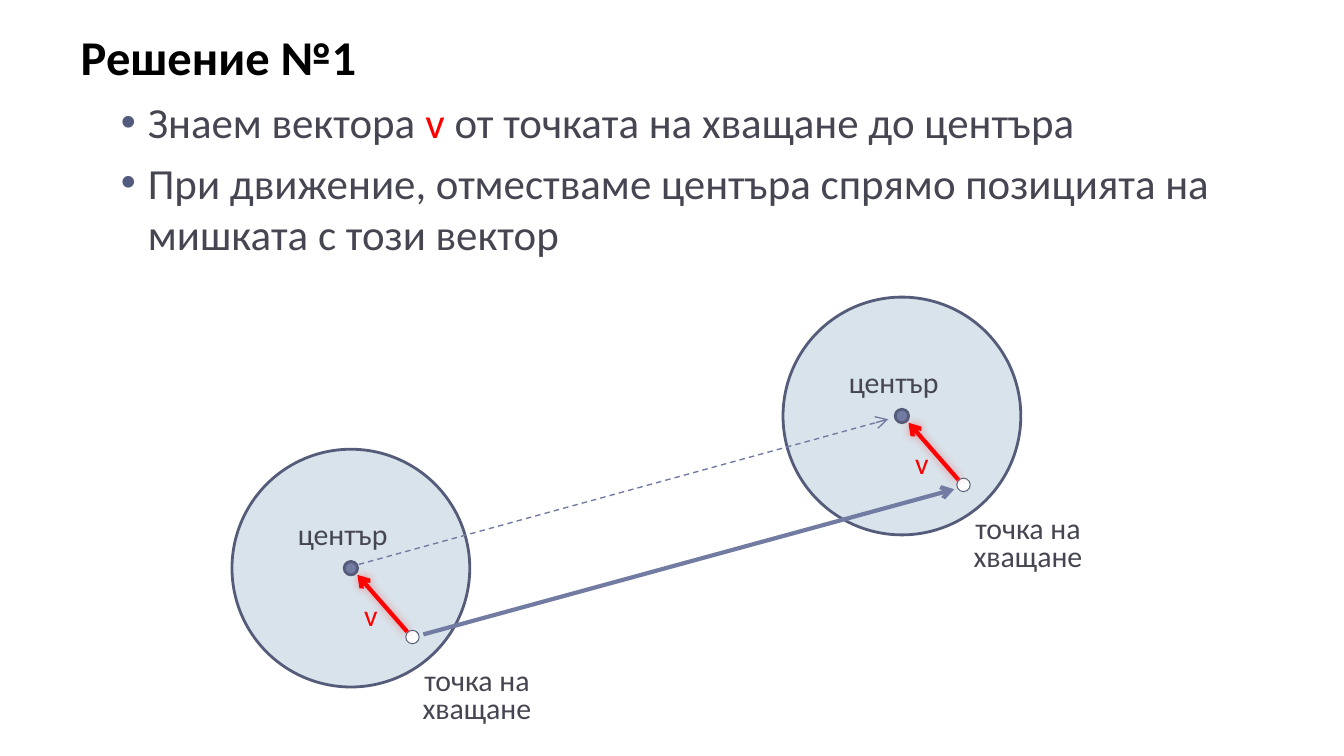
from lxml.etree import SubElement
from pptx import Presentation
from pptx.dml.color import RGBColor
from pptx.enum.dml import MSO_LINE
from pptx.enum.shapes import MSO_CONNECTOR, MSO_SHAPE
from pptx.enum.text import MSO_ANCHOR, MSO_AUTO_SIZE, PP_ALIGN
from pptx.oxml.ns import qn
from pptx.util import Pt

TEXT, RED, BLUE, OUTLINE = "464653", "FF0000", "727CA3", "545C79"
TITLE = "Решение №1"
BULLETS = [
    [("Знаем вектора ", TEXT), ("v ", RED), ("от точката на хващане до центъра", TEXT)],
    [("При движение, отместваме центъра спрямо позицията на мишката с този вектор", TEXT)],
]
CENTERS = [(188, 304.4), (483.2, 222.9)]
GRAB_OFFSET = (33, 36.9)
DISCS = [
    ((0, 0), 127.4, "D9E3EB", OUTLINE, 1.5),
    ((0, 0), 7.2, BLUE, OUTLINE, 1.5),
    (GRAB_OFFSET, 7.2, "FFFFFF", OUTLINE, 0.5),
]
VECTOR = ((30.2, 34.1), (3.5, 3.6))
LABELS = [
    (["център"], (-36.8, -27.4), 64.8, TEXT),
    (["точка на", "хващане"], (29.4, 50.6), 76.3, TEXT),
    (["v"], (-0.5, 16.1), 22.3, RED),
]


def color(value):
    return RGBColor.from_string(value)


def shift(point, offset):
    return point[0] + offset[0], point[1] + offset[1]


def add_run(paragraph, text, size, value, bold=False):
    run = paragraph.add_run()
    run.text = text
    run.font.name = "Calibri"
    run.font.size = Pt(size)
    run.font.bold = bold
    run.font.color.rgb = color(value)


def place(shape, left, top, width, height):
    shape.left, shape.top = Pt(left), Pt(top)
    shape.width, shape.height = Pt(width), Pt(height)
    frame = shape.text_frame
    frame.auto_size = MSO_AUTO_SIZE.NONE
    frame.vertical_anchor = MSO_ANCHOR.TOP
    return frame


def add_bullet(paragraph):
    properties = paragraph._p.get_or_add_pPr()
    properties.set("marL", str(Pt(36)))
    properties.set("indent", str(Pt(-14.4)))
    bullet_color = SubElement(properties, qn("a:buClr"))
    SubElement(bullet_color, qn("a:srgbClr"), val="525B7E")
    SubElement(properties, qn("a:buFont"), typeface="Arial")
    SubElement(properties, qn("a:buChar"), char="•")


def add_disc(group, center, diameter, fill, outline, weight):
    left, top = shift(center, (-diameter / 2, -diameter / 2))
    disc = group.shapes.add_shape(
        MSO_SHAPE.OVAL, Pt(left), Pt(top), Pt(diameter), Pt(diameter))
    disc.shadow.inherit = False
    disc.fill.solid()
    disc.fill.fore_color.rgb = color(fill)
    disc.line.color.rgb = color(outline)
    disc.line.width = Pt(weight)


def add_arrow(slide, start, end, value, weight, dashed=False, glowing=False):
    arrow = slide.shapes.add_connector(
        MSO_CONNECTOR.STRAIGHT, *(Pt(length) for length in (*start, *end)))
    arrow.line.color.rgb = color(value)
    arrow.line.width = Pt(weight)
    if dashed:
        arrow.line.dash_style = MSO_LINE.DASH
    SubElement(arrow.line._get_or_add_ln(), qn("a:tailEnd"), type="arrow")
    effects = SubElement(arrow._element.spPr, qn("a:effectLst"))
    if glowing:
        shadow = SubElement(effects, qn("a:outerShdw"), blurRad=str(Pt(5)),
                            dist="0", dir="0", algn="ctr", rotWithShape="0")
        shadow_color = SubElement(shadow, qn("a:srgbClr"), val=value)
        SubElement(shadow_color, qn("a:alpha"), val="40000")


def add_label(slide, lines, corner, width, value):
    height = 15 * len(lines) + 8
    box = slide.shapes.add_textbox(*(Pt(length) for length in (*corner, width, height)))
    box.text_frame.word_wrap = False
    paragraph = box.text_frame.paragraphs[0]
    paragraph.alignment = PP_ALIGN.CENTER
    paragraph.line_spacing = Pt(15)
    for index, line in enumerate(lines):
        if index:
            paragraph.add_line_break()
        add_run(paragraph, line, 16, value)


def main():
    presentation = Presentation()
    presentation.slide_width, presentation.slide_height = Pt(720), Pt(405)
    slide = presentation.slides.add_slide(presentation.slide_layouts[1])

    title = place(slide.shapes.title, 36, 10.8, 672, 37).paragraphs[0]
    title.alignment = PP_ALIGN.LEFT
    add_run(title, TITLE, 26, "000000", bold=True)

    body = place(slide.placeholders[1], 36, 47.5, 672, 100)
    for index, runs in enumerate(BULLETS):
        paragraph = body.add_paragraph() if index else body.paragraphs[0]
        add_bullet(paragraph)
        paragraph.space_before = Pt(5 if index else 0)
        for text, value in runs:
            add_run(paragraph, text, 23, value)

    for center in CENTERS:
        group = slide.shapes.add_group_shape()
        for offset, *style in DISCS:
            add_disc(group, shift(center, offset), *style)

    first, second = CENTERS
    first_grab, second_grab = (shift(center, GRAB_OFFSET) for center in CENTERS)
    add_arrow(slide, shift(first_grab, (5.8, -1.4)), shift(second_grab, (-5, 2.3)), BLUE, 2.25)
    add_arrow(slide, shift(first, (4.2, -2)), shift(second, (-7.3, 1.7)), BLUE, 0.75, dashed=True)

    for center in CENTERS:
        start, end = (shift(center, offset) for offset in VECTOR)
        add_arrow(slide, start, end, RED, 2.25, glowing=True)
        for lines, offset, width, value in LABELS:
            add_label(slide, lines, shift(center, offset), width, value)

    presentation.save("out.pptx")


if __name__ == "__main__":
    main()
